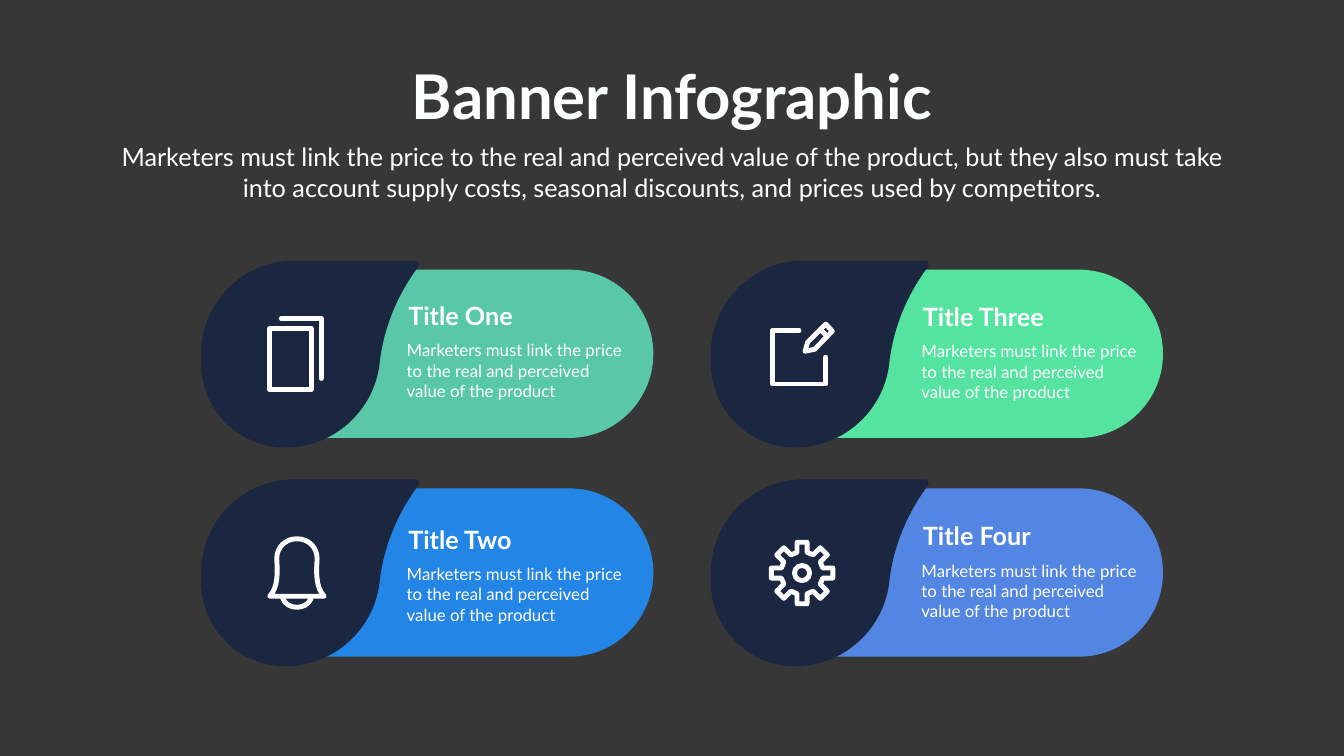
import math

from lxml import etree
from pptx import Presentation
from pptx import util as u
from pptx.dml.color import RGBColor
from pptx.enum import shapes, text
from pptx.oxml import ns

WIDTH, HEIGHT = 26.66, 15
GRID_LEFT, GRID_TOP = 3.99, 5.17
COLUMN_PITCH, ROW_PITCH = 10.11, 4.34

BACKGROUND = RGBColor(0x37, 0x37, 0x37)
NAVY = RGBColor(0x1B, 0x26, 0x41)
TEAL = RGBColor(0x59, 0xC8, 0xA6)
BLUE = RGBColor(0x23, 0x86, 0xE7)
GREEN = RGBColor(0x54, 0xE4, 0x9F)
PERIWINKLE = RGBColor(0x53, 0x86, 0xE3)
WHITE = RGBColor(0xFF, 0xFF, 0xFF)
HEADING_WHITE = RGBColor(0xFE, 0xFF, 0xFF)

HEADING = {"name": "Lato", "size": u.Pt(88), "bold": True}
LEAD = {"name": "Lato", "size": u.Pt(36), "bold": False}
CARD_TITLE = {"name": "Lato", "size": u.Pt(36), "bold": True}
CARD_BODY = {"name": "Lato", "size": u.Pt(24), "bold": False}

LEAD_TEXT = (
    "Marketers must link the price to the real and perceived value of the product, "
    "but they also must take into account supply costs, seasonal discounts, "
    "and prices used by competitors."
)
BODY_TEXT = "Marketers must link the price to the real and perceived value of the product"

# Outlines in inches from the card's corner: pairs are corners, sixes are Bézier curves.
BAND = [
    (8.97, 1.85), (8.97, 0.93, 8.22, 0.18, 7.3, 0.18), (1.76, 0.18),
    (1.76, 3.52), (7.3, 3.52), (8.22, 3.52, 8.97, 2.77, 8.97, 1.85),
]
DROP = [
    (4.25, 0), (4.31, 0, 4.34, 0.07, 4.31, 0.12),
    (4.06, 0.45, 3.67, 1.08, 3.55, 1.95), (3.55, 1.98, 3.55, 2.01, 3.54, 2.04),
    (3.43, 2.99, 2.62, 3.71, 1.67, 3.71), (0.75, 3.71, 0, 2.96, 0, 2.04),
    (0, 1.85), (0, 0.83, 0.83, 0, 1.85, 0),
]
FRONT_PAGE = [(1.36, 1.35), (2.18, 1.35), (2.18, 2.56), (1.36, 2.56)]
BACK_PAGE = [(1.59, 1.15), (2.38, 1.15), (2.38, 2.34)]
NOTE = [(1.75, 1.39), (1.22, 1.39), (1.22, 2.45), (2.28, 2.45), (2.28, 1.92)]
PENCIL = [(2.28, 1.26), (2.41, 1.4), (2.06, 1.76), (1.87, 1.8), (1.92, 1.62)]
ERASER_EDGE = [(2.17, 1.37), (2.31, 1.5)]
BELL = [
    (1.36, 2.32), (1.44, 2.24, 1.49, 2.1, 1.5, 1.97),
    (1.52, 1.8, 1.5, 1.65, 1.5, 1.57), (1.5, 1.35, 1.67, 1.18, 1.9, 1.18),
    (2.13, 1.18, 2.3, 1.35, 2.3, 1.57), (2.3, 1.65, 2.28, 1.8, 2.3, 1.97),
    (2.31, 2.1, 2.36, 2.24, 2.44, 2.32),
]
CLAPPER = [
    (1.62, 2.37), (1.67, 2.48, 1.78, 2.54, 1.9, 2.54), (2.02, 2.54, 2.13, 2.48, 2.18, 2.37),
]


def bend(line, controls):
    """Turn a straight path segment into a Bézier curve with two control points."""
    line.tag = ns.qn("a:cubicBezTo")
    for index, (x, y) in enumerate(controls):
        point = etree.Element(ns.qn("a:pt"), x=str(x), y=str(y))
        line.insert(index, point)


def add_outline(slide, corner, outline, close=True):
    left, top = corner
    segments = [
        [
            (u.Inches(left + x), u.Inches(top + y))
            for x, y in zip(segment[::2], segment[1::2])
        ]
        for segment in outline
    ]
    builder = slide.shapes.build_freeform(*segments[0][-1])
    builder.add_line_segments([segment[-1] for segment in segments[1:]], close=close)
    shape = builder.convert_to_shape()
    shape.shadow.inherit = False
    lines = list(shape._element.iter(ns.qn("a:lnTo")))
    for line, segment in zip(lines, segments[1:]):
        if len(segment) == 3:
            bend(line, [(x - shape.left, y - shape.top) for x, y in segment[:2]])
    return shape


def add_area(slide, corner, outline, color):
    shape = add_outline(slide, corner, outline)
    shape.fill.solid()
    shape.fill.fore_color.rgb = color
    shape.line.fill.background()


def format_stroke(shape):
    """Leave only a white line with round ends and joins."""
    shape.fill.background()
    shape.line.color.rgb = WHITE
    shape.line.width = u.Pt(7)
    line = shape.line._get_or_add_ln()
    line.set("cap", "rnd")
    etree.SubElement(line, ns.qn("a:round"))


def add_stroke(slide, corner, outline, close=True):
    format_stroke(add_outline(slide, corner, outline, close))


def add_pages_icon(slide, corner):
    add_stroke(slide, corner, FRONT_PAGE)
    add_stroke(slide, corner, BACK_PAGE, close=False)


def add_edit_icon(slide, corner):
    add_stroke(slide, corner, NOTE, close=False)
    add_stroke(slide, corner, PENCIL)
    add_stroke(slide, corner, ERASER_EDGE, close=False)


def add_bell_icon(slide, corner):
    add_stroke(slide, corner, BELL)
    add_stroke(slide, corner, CLAPPER, close=False)


def add_gear_icon(slide, corner, teeth=8):
    center_x, center_y, hub = 1.81, 1.86, 0.15
    tooth = [(-0.1, 0.41), (-0.1, 0.61), (0.1, 0.61), (0.1, 0.41)]
    outline = []
    for index in range(teeth):
        angle = 2 * math.pi * index / teeth
        sine, cosine = math.sin(angle), math.cos(angle)
        outline += [
            (center_x + across * cosine + out * sine, center_y + across * sine - out * cosine)
            for across, out in tooth
        ]
    add_stroke(slide, corner, outline)
    circle = slide.shapes.add_shape(
        shapes.MSO_SHAPE.OVAL,
        u.Inches(corner[0] + center_x - hub), u.Inches(corner[1] + center_y - hub),
        u.Inches(2 * hub), u.Inches(2 * hub),
    )
    circle.shadow.inherit = False
    format_stroke(circle)


def add_text(slide, box, words, font, color=WHITE, align=text.PP_ALIGN.LEFT, wrap=True):
    shape = slide.shapes.add_textbox(*(u.Inches(length) for length in box))
    frame = shape.text_frame
    frame.word_wrap = wrap
    frame.auto_size = text.MSO_AUTO_SIZE.SHAPE_TO_FIT_TEXT
    paragraph = frame.paragraphs[0]
    paragraph.alignment = align
    run = paragraph.add_run()
    run.text = words
    for name, value in font.items():
        setattr(run.font, name, value)
    run.font.color.rgb = color


def add_card(slide, column, row, color, add_icon, title, text_offset):
    left, top = corner = (GRID_LEFT + column * COLUMN_PITCH, GRID_TOP + row * ROW_PITCH)
    add_area(slide, corner, BAND, color)
    add_area(slide, corner, DROP, NAVY)
    add_icon(slide, corner)
    text_left, text_top = left + text_offset[0], top + text_offset[1]
    add_text(slide, (text_left, text_top, 2.92, 0.71), title, CARD_TITLE)
    add_text(slide, (text_left - 0.03, text_top + 0.79, 4.53, 1.31), BODY_TEXT, CARD_BODY)


def main():
    presentation = Presentation()
    presentation.slide_width = u.Inches(WIDTH)
    presentation.slide_height = u.Inches(HEIGHT)
    slide = presentation.slides.add_slide(presentation.slide_layouts[6])
    slide.background.fill.solid()
    slide.background.fill.fore_color.rgb = BACKGROUND

    cards = [
        (0, 0, TEAL, add_pages_icon, "Title One", (4.01, 0.74)),
        (0, 1, BLUE, add_bell_icon, "Title Two", (4.01, 0.84)),
        (1, 0, GREEN, add_edit_icon, "Title Three", (4.11, 0.76)),
        (1, 1, PERIWINKLE, add_gear_icon, "Title Four", (4.11, 0.77)),
    ]
    for card in cards:
        add_card(slide, *card)

    for width, top, height, words, font, wrap in [
        (10.78, 1.1, 1.58, "Banner Infographic", HEADING, False),
        (22.21, 2.76, 1.31, LEAD_TEXT, LEAD, True),
    ]:
        box = ((WIDTH - width) / 2, top, width, height)
        add_text(slide, box, words, font, HEADING_WHITE, text.PP_ALIGN.CENTER, wrap)
    presentation.save("out.pptx")


if __name__ == "__main__":
    main()
